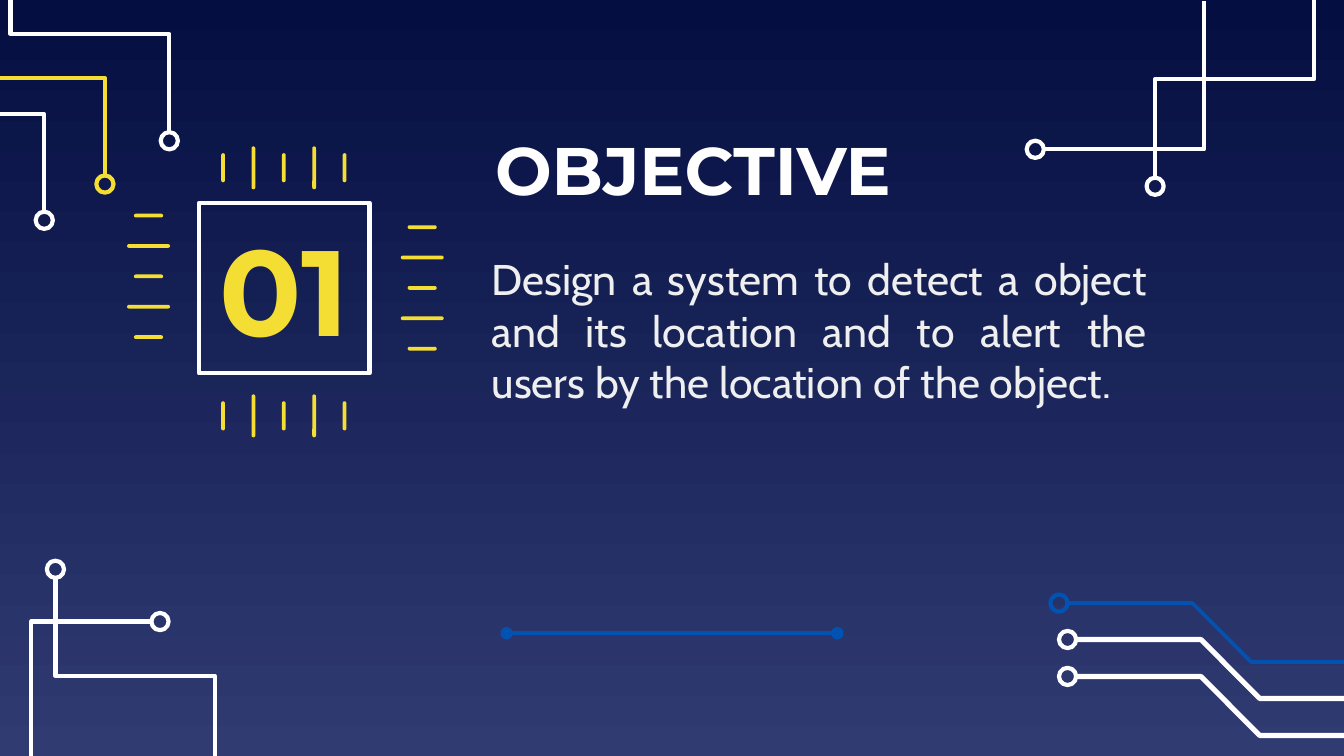
from dataclasses import dataclass

import pptx
import pptx.dml.color
import pptx.enum.shapes
import pptx.enum.text
import pptx.oxml
import pptx.oxml.ns
import pptx.util

Pt = pptx.util.Pt
SHAPE = pptx.enum.shapes.MSO_SHAPE
ALIGN = pptx.enum.text.PP_ALIGN
ANCHOR = pptx.enum.text.MSO_ANCHOR


def rgb(code):
    return pptx.dml.color.RGBColor.from_string(code)


@dataclass(frozen=True)
class Theme:
    sky_top = rgb("040E41")
    sky_bottom = rgb("303B72")
    white = rgb("FFFFFF")
    yellow = rgb("F5DE34")
    blue = rgb("0152B1")
    body = rgb("EFEFEF")
    heading_font = "Montserrat"
    body_font = "Cabin"
    title_size = 36
    number_size = 65
    body_size = 23
    line = 2.25
    inset = 7.2
    pad_radius = 4.6


@dataclass(frozen=True)
class Box:
    left: float
    top: float
    width: float
    height: float


THEME = Theme()

# Circuit traces: colour, line width, then points relative to the corner box.
# The first point is the centre of the ring at the trace's end.
TOP_LEFT = [
    (THEME.white, THEME.line, [(23.7, 118), (23.7, 61.2), (0, 61.2)]),
    (THEME.yellow, THEME.line, [(56.2, 98.6), (56.2, 41.8), (0, 41.8)]),
    (THEME.white, THEME.line, [(90.7, 75.4), (90.7, 18.2), (5.6, 18.2), (5.6, 0)]),
]
TOP_RIGHT = [
    (THEME.white, THEME.line, [(14.6, 80), (105, 80), (105, 0.7)]),
    (THEME.white, THEME.line, [(78.8, 99.8), (78.8, 42.4), (164, 42.4), (164, 0)]),
]
BOTTOM_LEFT = [
    (THEME.white, THEME.line, [(29.7, 5), (29.7, 62.2), (115, 62.2), (115, 105)]),
    (THEME.white, THEME.line, [(85.7, 33), (16.6, 33), (16.6, 105)]),
]
BOTTOM_RIGHT = [
    (color, width, [(x, y), (x + 71.5, y), (x + 103, y + 31.6), (160, y + 31.6)])
    for color, width, x, y in [
        (THEME.blue, 2, 7.3, 13.1),
        (THEME.white, 2.75, 11.9, 32.6),
        (THEME.white, 2.75, 11.9, 52.4),
    ]
]


def style(shape, fill=None, line=None, width=THEME.line):
    shape.shadow.inherit = False
    if fill is None:
        shape.fill.background()
    else:
        shape.fill.solid()
        shape.fill.fore_color.rgb = fill
    if line is None:
        shape.line.fill.background()
    else:
        shape.line.color.rgb = line
        shape.line.width = Pt(width)


def write(shape, text, font, size, color, align, anchor, bold=False):
    frame = shape.text_frame
    frame.word_wrap = True
    frame.vertical_anchor = anchor
    frame.margin_left = frame.margin_right = Pt(THEME.inset)
    frame.margin_top = frame.margin_bottom = Pt(THEME.inset)
    para = frame.paragraphs[0]
    para.text = text
    para.alignment = align
    para.font.name = font
    para.font.size = Pt(size)
    para.font.bold = bold
    para.font.color.rgb = color


def add_background(page):
    fill = page.background.fill
    fill.gradient()
    fill.gradient_angle = 270
    for stop, color in zip(fill.gradient_stops, (THEME.sky_top, THEME.sky_bottom)):
        stop.color.rgb = color


def add_corner(page, box, traces):
    radius = THEME.pad_radius
    for color, width, points in traces:
        (x, y), *bends = [(box.left + dx, box.top + dy) for dx, dy in points]
        # The trace leaves from the rim of its ring, towards the first bend.
        reach = max(abs(bends[0][0] - x), abs(bends[0][1] - y))
        start_x = x + radius * (bends[0][0] - x) / reach
        start_y = y + radius * (bends[0][1] - y) / reach
        builder = page.shapes.build_freeform(Pt(start_x), Pt(start_y))
        builder.add_line_segments([(Pt(a), Pt(b)) for a, b in bends], close=False)
        style(builder.convert_to_shape(), line=color, width=width)
        ring = page.shapes.add_shape(
            SHAPE.OVAL, Pt(x - radius), Pt(y - radius), Pt(2 * radius), Pt(2 * radius))
        style(ring, line=color)


def add_chip(page, box, number):
    # Square body with the section number
    body = page.shapes.add_shape(
        SHAPE.RECTANGLE, Pt(box.left), Pt(box.top), Pt(box.width), Pt(box.height))
    style(body, line=THEME.white)
    write(body, number, THEME.heading_font, THEME.number_size, THEME.yellow,
          ALIGN.CENTER, ANCHOR.MIDDLE, bold=True)

    # Five pins a side, short and long in turn: first pin's centre, direction
    pitch, thickness, lengths = 16.27, 2, (15.6, 23)
    sides = [
        (12.9, -18.8, True),
        (12.9, 114.1, True),
        (-27, 6.8, False),
        (119.6, 13, False),
    ]
    for first_x, first_y, upright in sides:
        for index in range(5):
            length = lengths[index % 2]
            x, y = box.left + first_x, box.top + first_y
            if upright:
                x += index * pitch
                width, height = thickness, length
            else:
                y += index * pitch
                width, height = length, thickness
            pin = page.shapes.add_shape(
                SHAPE.ROUNDED_RECTANGLE, Pt(x - width / 2), Pt(y - height / 2),
                Pt(width), Pt(height))
            pin.adjustments[0] = 0.5
            style(pin, fill=THEME.yellow)


def add_title(page, box, text):
    title = page.shapes.add_textbox(
        Pt(box.left), Pt(box.top), Pt(box.width), Pt(box.height))
    write(title, text, THEME.heading_font, THEME.title_size, THEME.white,
          ALIGN.CENTER, ANCHOR.MIDDLE, bold=True)


def add_body(page, box, text):
    body = page.shapes.add_textbox(
        Pt(box.left), Pt(box.top), Pt(box.width), Pt(box.height))
    write(body, text, THEME.body_font, THEME.body_size, THEME.body,
          ALIGN.JUSTIFY, ANCHOR.TOP)
    body.text_frame.auto_size = pptx.enum.text.MSO_AUTO_SIZE.SHAPE_TO_FIT_TEXT


def add_divider(page, box):
    divider = page.shapes.add_connector(
        pptx.enum.shapes.MSO_CONNECTOR.STRAIGHT, Pt(box.left), Pt(box.top),
        Pt(box.left + box.width), Pt(box.top + box.height))
    divider.line.color.rgb = THEME.blue
    divider.line.width = Pt(THEME.line)
    properties = divider._element.spPr
    outline = properties.find(pptx.oxml.ns.qn("a:ln"))
    for end in ("a:headEnd", "a:tailEnd"):
        marker = pptx.oxml.xmlchemy.OxmlElement(end)
        marker.set("type", "oval")
        outline.append(marker)
    properties.append(pptx.oxml.xmlchemy.OxmlElement("a:effectLst"))


def main():
    deck = pptx.Presentation()
    deck.slide_width, deck.slide_height = Pt(720), Pt(405)
    page = deck.slides.add_slide(deck.slide_layouts[6])

    # Backdrop and circuit corners
    add_background(page)
    add_corner(page, Box(560, 310, 160, 95), BOTTOM_RIGHT)
    add_corner(page, Box(0, 300, 120, 105), BOTTOM_LEFT)
    add_corner(page, Box(540, 0, 180, 105), TOP_RIGHT)
    add_corner(page, Box(0, 0, 96, 123), TOP_LEFT)

    # Section content
    add_title(page, Box(247, 66.2, 248.4, 48.2), "OBJECTIVE")
    add_chip(page, Box(106.6, 108.7, 91.4, 91.4), "01")
    add_divider(page, Box(271.4, 339.3, 177.2, 0))
    add_body(page, Box(256.3, 128.2, 365.8, 110.2),
             "Design a system to detect a object and its location and to alert "
             "the users by the location of the object.")

    deck.save("out.pptx")


if __name__ == "__main__":
    main()
